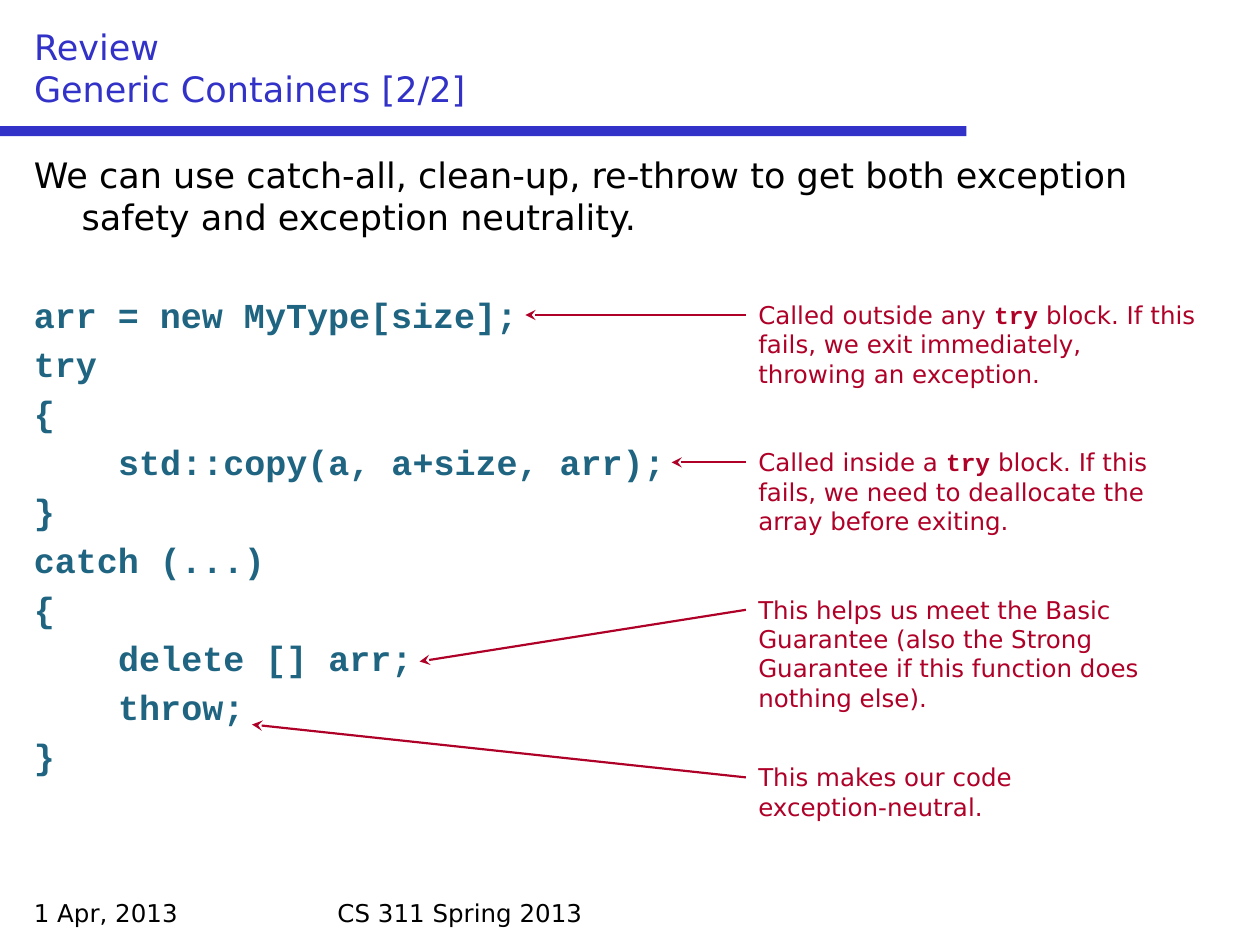
"""Build the review slide on exception-safe generic containers."""
from dataclasses import dataclass

from lxml.etree import SubElement
from pptx import Presentation
from pptx.dml.color import RGBColor as Rgb
from pptx.enum.shapes import MSO_CONNECTOR as Link, MSO_SHAPE as Shape
from pptx.enum.text import MSO_ANCHOR as Anchor, PP_ALIGN as Align
from pptx.oxml.ns import qn
from pptx.util import Inches, Pt


@dataclass(frozen=True)
class Theme:
    sans: str = "DejaVu Sans"
    mono: str = "Courier New"
    blue: str = "3232C8"
    black: str = "000000"
    teal: str = "1F6481"
    red: str = "AF0028"
    big: int = 20
    small: int = 14


THEME = Theme()
TITLE = "Review\vGeneric Containers [2/2]"
LEAD = ("We can use catch-all, clean-up, re-throw to get both exception "
        "safety and exception neutrality.")
CODE = [
    (0, "arr = new MyType[size];"),
    (0, "try"),
    (0, "{"),
    (1, "std::copy(a, a+size, arr);"),
    (0, "}"),
    (0, "catch (...)"),
    (0, "{"),
    (1, "delete [] arr;"),
    (1, "throw;"),
    (0, "}"),
]
NOTES = [
    (2.33, 3.67, 0.81, (4.17, 2.5),
     ["Called outside any ", "try",
      " block. If this fails, we exit immediately, throwing an exception."]),
    (3.5, 3.67, 0.81, (5.33, 3.67),
     ["Called inside a ", "try",
      " block. If this fails, we need to deallocate the array before exiting."]),
    (4.67, 3.67, 1.05, (3.33, 5.25),
     ["This helps us meet the Basic Guarantee (also the Strong Guarantee "
      "if this function does nothing else)."]),
    (6, 3.17, 0.58, (2, 5.75), ["This makes our code exception-neutral."]),
]
FOOT = [(0.17, 2.33, "1 Apr, 2013"), (2.58, 4.83, "CS 311 Spring 2013")]
EDGE, WIDE, NOTE_X, DROP = 0.17, 9.67, 5.92, 0.17
HANG, TAB = 0.38, 0.67
GAP, BREAK = 4, 32


def style(font, size, color, face=THEME.sans, bold=False):
    font.size, font.name, font.bold = Pt(size), face, bold
    font.color.rgb = Rgb.from_string(color)


def add_box(slide, x, y, w, h):
    box = slide.shapes.add_textbox(Inches(x), Inches(y), Inches(w), Inches(h))
    box.text_frame.word_wrap = True
    return box.text_frame


def hang(para, level=0):
    props = para._p.get_or_add_pPr()
    props.set("marL", str(Inches(HANG)))
    props.set("indent", str(Inches(level * TAB - HANG)))


def add_title(slide):
    title = slide.shapes.title
    title.left, title.top = Inches(EDGE), Inches(0.17)
    title.width, title.height = Inches(WIDE), Inches(0.75)
    frame = title.text_frame
    frame.text, frame.vertical_anchor = TITLE, Anchor.BOTTOM
    para = frame.paragraphs[0]
    para.alignment = Align.LEFT
    style(para.font, THEME.big, THEME.blue)


def add_bar(slide):
    bar = slide.shapes.add_shape(
        Shape.RECTANGLE, 0, Inches(1), Inches(7.67), Inches(0.08))
    bar.shadow.inherit = False
    bar.fill.solid()
    bar.fill.fore_color.rgb = Rgb.from_string(THEME.blue)
    bar.line.fill.background()


def add_body(slide):
    frame = add_box(slide, EDGE, 1.17, WIDE, 5.83)
    lead = frame.paragraphs[0]
    lead.text = LEAD
    hang(lead)
    style(lead.font, THEME.big, THEME.black)
    for row, (level, text) in enumerate(CODE):
        para = frame.add_paragraph()
        para.text = text
        hang(para, level)
        para.space_before = Pt(GAP if row else BREAK)
        style(para.font, THEME.big, THEME.teal, THEME.mono, True)


def add_arrow(slide, start, end):
    points = [Inches(n) for n in (*start, *end)]
    arrow = slide.shapes.add_connector(Link.STRAIGHT, *points)
    arrow.line.width = Pt(1.25)
    arrow.line.color.rgb = Rgb.from_string(THEME.red)
    SubElement(arrow.line._get_or_add_ln(), qn("a:tailEnd"), type="stealth")
    SubElement(arrow._element.spPr, qn("a:effectLst"))


def add_note(slide, top, width, height, tip, parts):
    para = add_box(slide, NOTE_X, top, width, height).paragraphs[0]
    style(para.font, THEME.small, THEME.red)
    for part in parts:
        run = para.add_run()
        run.text = part
        code = part == "try"
        style(run.font, THEME.small, THEME.red,
              THEME.mono if code else THEME.sans, code)
    add_arrow(slide, (NOTE_X, top + DROP), tip)


def main():
    deck = Presentation()
    deck.slide_width, deck.slide_height = Inches(10), Inches(7.5)
    slide = deck.slides.add_slide(deck.slide_layouts.get_by_name("Title Only"))
    add_bar(slide)
    for x, width, text in FOOT:
        para = add_box(slide, x, 7.08, width, 0.33).paragraphs[0]
        para.text = text
        style(para.font, THEME.small, THEME.black)
    add_title(slide)
    add_body(slide)
    for note in NOTES:
        add_note(slide, *note)
    deck.save("out.pptx")


main()
